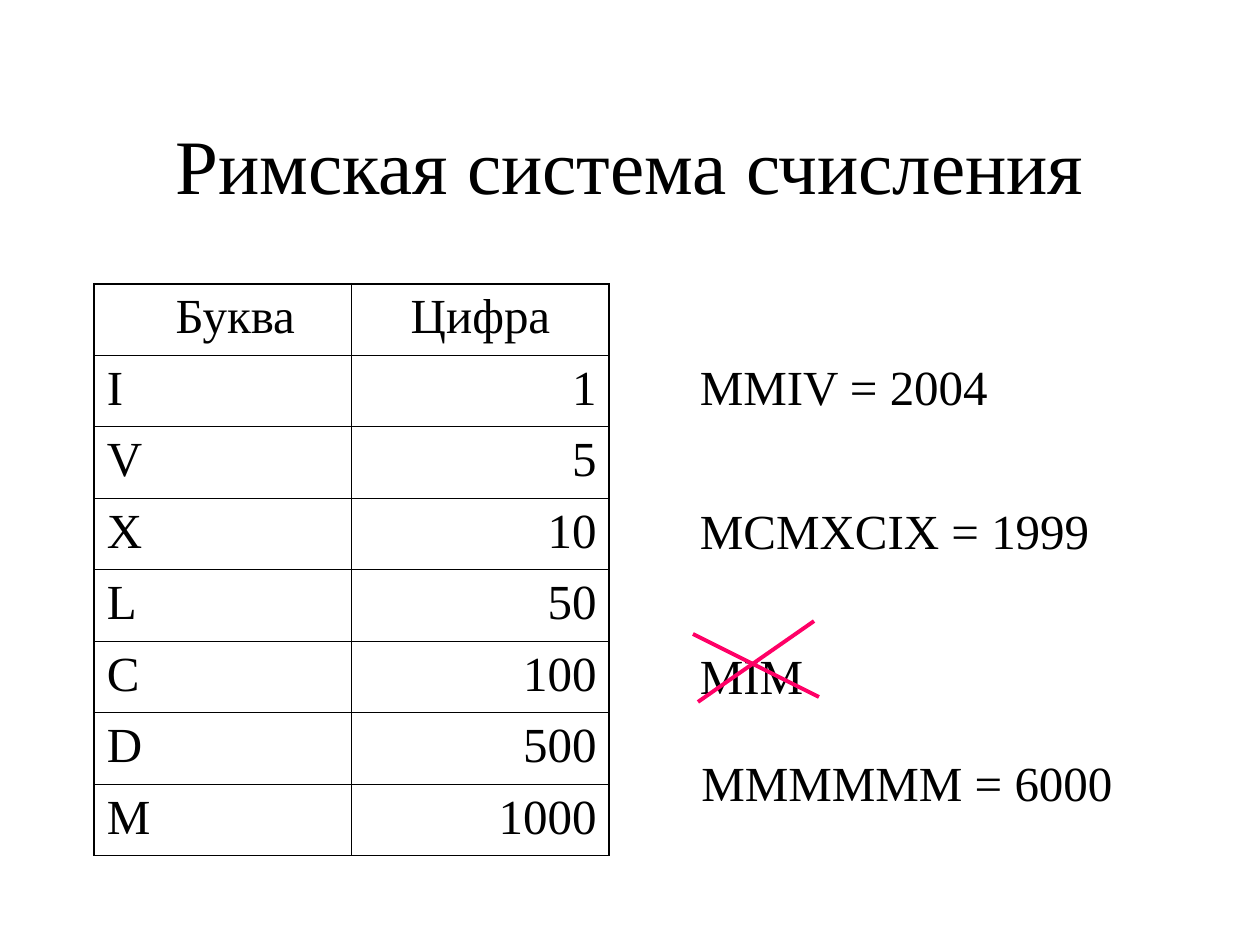
from lxml.etree import SubElement
from pptx import Presentation
from pptx.dml.color import RGBColor
from pptx.enum.shapes import MSO_CONNECTOR
from pptx.enum.text import MSO_ANCHOR, PP_ALIGN
from pptx.oxml import parse_xml
from pptx.oxml.ns import nsdecls, qn
from pptx.util import Cm, Pt

FONT = "Times New Roman"
COLORS = {"text": "000000", "border": "000000", "cross": "FF0066"}
OUTER, INNER = 1.08, 0.45


def format_text(paragraph, size=28, alignment=PP_ALIGN.LEFT):
    paragraph.alignment = alignment
    for run in paragraph.runs:
        run.font.name = FONT
        run.font.size = Pt(size)
        run.font.color.rgb = RGBColor.from_string(COLORS["text"])


def set_borders(cell, widths):
    properties = cell._tc.get_or_add_tcPr()
    for index, (side, width) in enumerate(widths.items()):
        border = parse_xml(
            f'<a:ln{side} {nsdecls("a")} w="{Pt(width)}"><a:solidFill>'
            f'<a:srgbClr val="{COLORS["border"]}"/></a:solidFill></a:ln{side}>')
        properties.insert(index, border)


presentation = Presentation()
presentation.slide_width, presentation.slide_height = Cm(25.4), Cm(19.05)
slide = presentation.slides.add_slide(presentation.slide_layouts[5])

# Title
title = slide.shapes.title
title.left, title.top, title.width, title.height = Cm(1.9), Cm(1.7), Cm(21.6), Cm(3.18)
title.text_frame.text = "Римская система счисления"
title.text_frame.vertical_anchor = MSO_ANCHOR.MIDDLE
format_text(title.text_frame.paragraphs[0], 44, PP_ALIGN.CENTER)

# Valid and invalid numerals
examples = slide.shapes.add_textbox(Cm(12.9), Cm(5.5), Cm(10.6), Cm(12.07))
frame = examples.text_frame
frame.word_wrap = True
frame.margin_left, frame.margin_top = Cm(1.21), Cm(1.68)
frame.text = "MMIV = 2004\nMCMXCIX = 1999\nMIM"
for index, paragraph in enumerate(frame.paragraphs):
    format_text(paragraph)
    if index:
        paragraph.space_before = Pt(49)

# Table of letters and values
rows = [("Буква", "Цифра"), ("I", "1"), ("V", "5"), ("X", "10"),
        ("L", "50"), ("C", "100"), ("D", "500"), ("M", "1000")]
graphic_frame = slide.shapes.add_table(
    len(rows), 2, Cm(1.9), Cm(5.72), Cm(10.38), Cm(11.52))
table = graphic_frame.table
table.first_row = table.horz_banding = False
last_row = len(rows) - 1
for row_index, values in enumerate(rows):
    for column_index, value in enumerate(values):
        cell = table.cell(row_index, column_index)
        cell.text_frame.text = value
        if row_index == 0:
            alignment = PP_ALIGN.CENTER
        else:
            alignment = (PP_ALIGN.LEFT, PP_ALIGN.RIGHT)[column_index]
        format_text(cell.text_frame.paragraphs[0], alignment=alignment)
        cell.fill.background()
        set_borders(cell, {
            "L": OUTER if column_index == 0 else INNER,
            "R": OUTER if column_index == 1 else INNER,
            "T": OUTER if row_index == 0 else INNER,
            "B": OUTER if row_index == last_row else INNER})
table.cell(0, 0).margin_left = Cm(0.75)

# Cross over the invalid numeral
for start_x, start_y, end_x, end_y in [(13.97, 12.78, 16.51, 14.05),
                                       (16.41, 12.52, 14.07, 14.15)]:
    stroke = slide.shapes.add_connector(
        MSO_CONNECTOR.STRAIGHT, Cm(start_x), Cm(start_y), Cm(end_x), Cm(end_y))
    stroke.line.color.rgb = RGBColor.from_string(COLORS["cross"])
    stroke.line.width = Pt(2.25)
    SubElement(stroke._element.spPr, qn("a:effectLst"))

# Last numeral
last_example = slide.shapes.add_textbox(Cm(12.9), Cm(15.04), Cm(10.8), Cm(1.45))
last_example.text_frame.word_wrap = True
last_example.text_frame.margin_left = Cm(1.24)
last_example.text_frame.text = "MMMMMM = 6000"
format_text(last_example.text_frame.paragraphs[0])

presentation.save("out.pptx")
